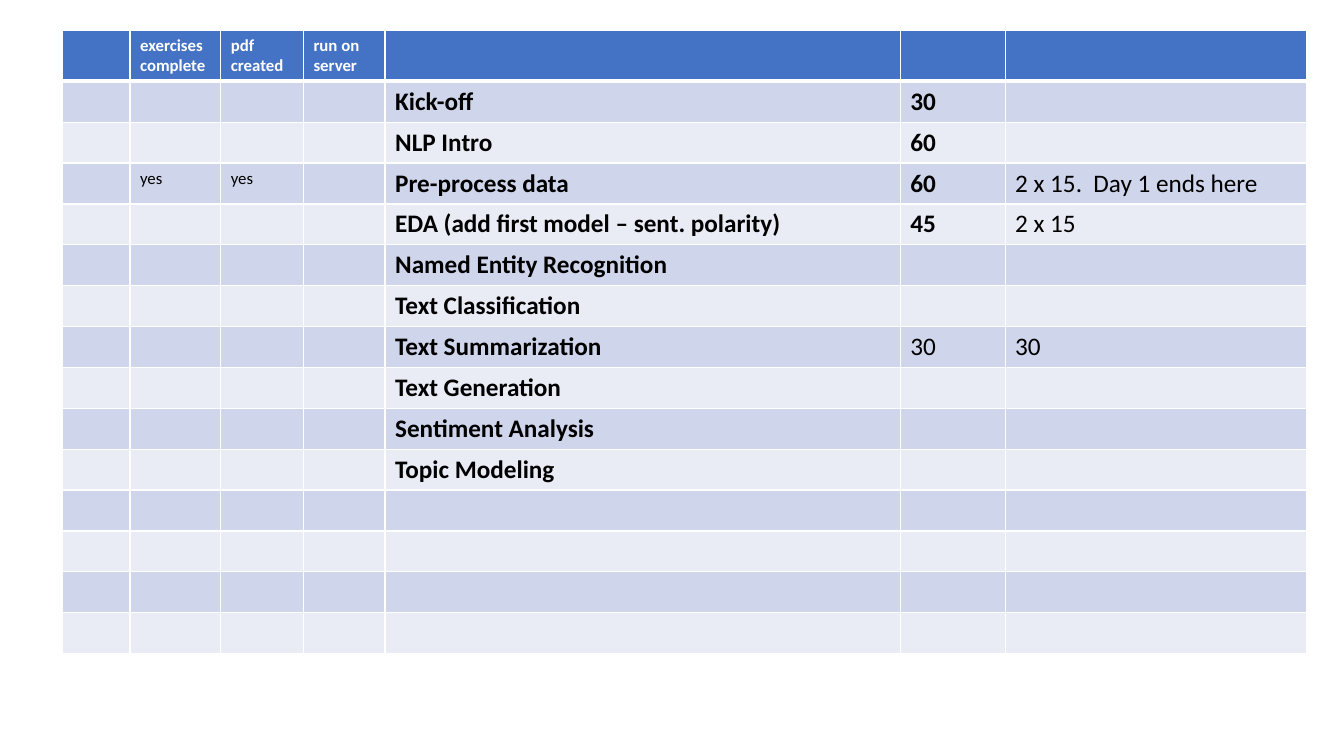
from dataclasses import dataclass

from lxml import etree
from pptx import Presentation
from pptx.dml.color import RGBColor
from pptx.oxml.ns import qn
from pptx.util import Inches, Pt

FONT = "Calibri"
WHITE, BLACK = "FFFFFF", "000000"
HEADER_FILL = "4472C4"
BAND_FILLS = ("CFD5EA", "E9EBF5")
THIN, THICK = Pt(1), Pt(3)

LEFT, TOP = Inches(0.62), Inches(0.3)
HEADER_HEIGHT, BODY_HEIGHT = Inches(0.5), Inches(5.68)
BODY_ROWS = 14


@dataclass(frozen=True)
class Column:
    width: float
    heading: str = ""
    size: int = 18


@dataclass(frozen=True)
class Session:
    topic: str
    minutes: str = ""
    exercise_time: str = ""
    exercises_complete: str = ""
    pdf_created: str = ""
    bold_minutes: bool = True

    def entries(self) -> list[tuple[str, bool]]:
        """Text and boldness for each column."""
        return [
            ("", False),
            (self.exercises_complete, False),
            (self.pdf_created, False),
            ("", False),
            (self.topic, True),
            (self.minutes, self.bold_minutes),
            (self.exercise_time, False),
        ]


COLUMNS = [
    Column(0.67),
    Column(0.9, "exercises complete", 12),
    Column(0.82, "pdf created", 12),
    Column(0.81, "run on server", 12),
    Column(5.11),
    Column(1.04),
    Column(2.99),
]

SESSIONS = [
    Session("Kick-off", "30"),
    Session("NLP Intro", "60"),
    Session("Pre-process data", "60", "2 x 15.  Day 1 ends here", "yes", "yes"),
    Session("EDA (add first model – sent. polarity)", "45", "2 x 15"),
    Session("Named Entity Recognition"),
    Session("Text Classification"),
    Session("Text Summarization", "30", "30", bold_minutes=False),
    Session("Text Generation"),
    Session("Sentiment Analysis"),
    Session("Topic Modeling"),
]


def color(value: str) -> RGBColor:
    return RGBColor.from_string(value)


def set_borders(cell, top: int = THIN, bottom: int = THIN) -> None:
    """Draw white lines on all four sides of a cell."""
    properties = cell._tc.get_or_add_tcPr()
    widths = {"a:lnL": THIN, "a:lnR": THIN, "a:lnT": top, "a:lnB": bottom}
    for position, (tag, width) in enumerate(widths.items()):
        line = etree.Element(qn(tag), w=str(int(width)))
        fill = etree.SubElement(line, qn("a:solidFill"))
        etree.SubElement(fill, qn("a:srgbClr"), val=WHITE)
        properties.insert(position, line)


def fill_cell(cell, text: str, size: int, bold: bool, text_color: str, fill: str) -> None:
    cell.fill.solid()
    cell.fill.fore_color.rgb = color(fill)
    if not text:
        return
    span = cell.text_frame.paragraphs[0].add_run()
    span.text = text
    span.font.name = FONT
    span.font.size = Pt(size)
    span.font.bold = bold
    span.font.color.rgb = color(text_color)


# Deck and page
deck = Presentation()
deck.slide_width, deck.slide_height = Inches(13.33), Inches(7.5)
page = deck.slides.add_slide(deck.slide_layouts[6])

# Schedule grid
table_width = Inches(sum(column.width for column in COLUMNS))
schedule = page.shapes.add_table(
    BODY_ROWS + 1, len(COLUMNS), LEFT, TOP, table_width, HEADER_HEIGHT + BODY_HEIGHT
).table
for grid_column, column in zip(schedule.columns, COLUMNS):
    grid_column.width = Inches(column.width)
for row in schedule.rows:
    row.height = BODY_HEIGHT // BODY_ROWS
schedule.rows[0].height = HEADER_HEIGHT

# Header row
for cell, column in zip(schedule.rows[0].cells, COLUMNS):
    fill_cell(cell, column.heading, column.size, True, WHITE, HEADER_FILL)
    set_borders(cell, bottom=THICK)

# Session rows, then the unused rows
sessions = SESSIONS + [Session("")] * (BODY_ROWS - len(SESSIONS))
for index, session in enumerate(sessions):
    band = BAND_FILLS[index % len(BAND_FILLS)]
    cells = schedule.rows[index + 1].cells
    for cell, column, (text, bold) in zip(cells, COLUMNS, session.entries()):
        fill_cell(cell, text, column.size, bold, BLACK, band)
        set_borders(cell, top=THICK if index == 0 else THIN)

deck.save("out.pptx")
